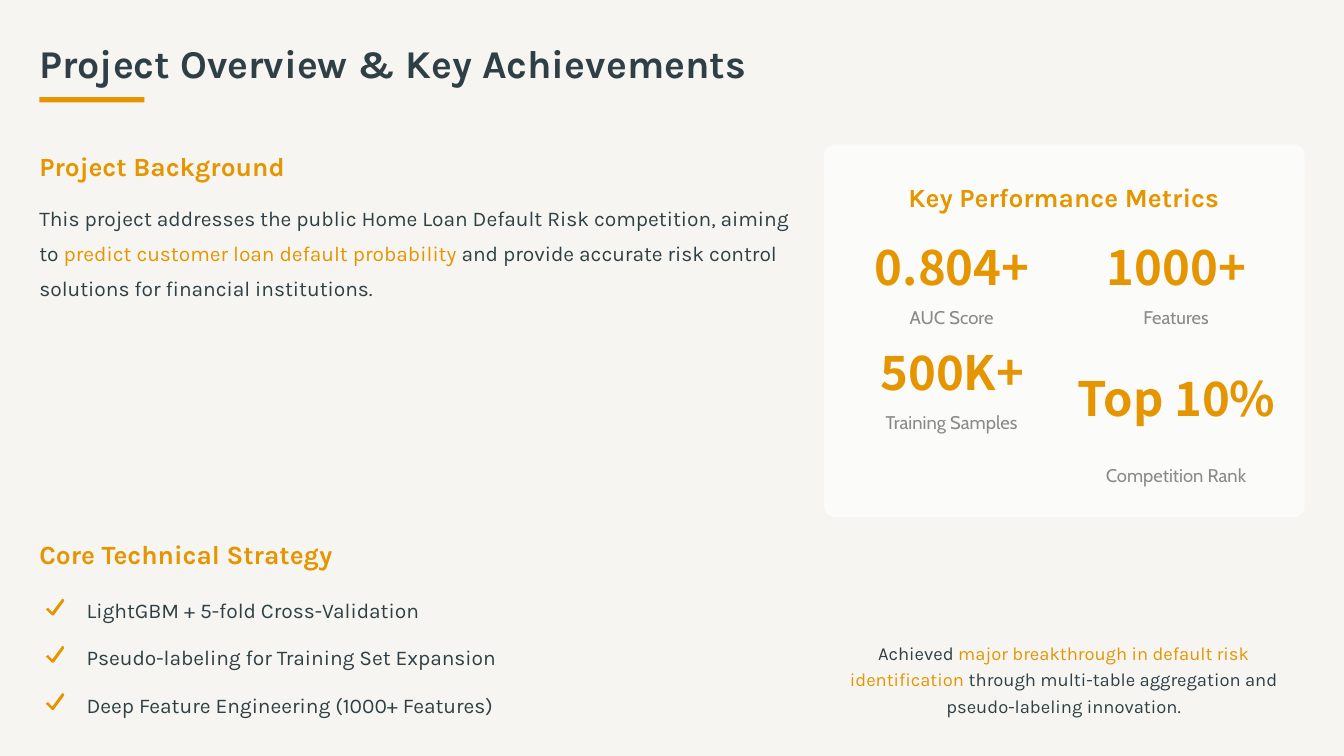
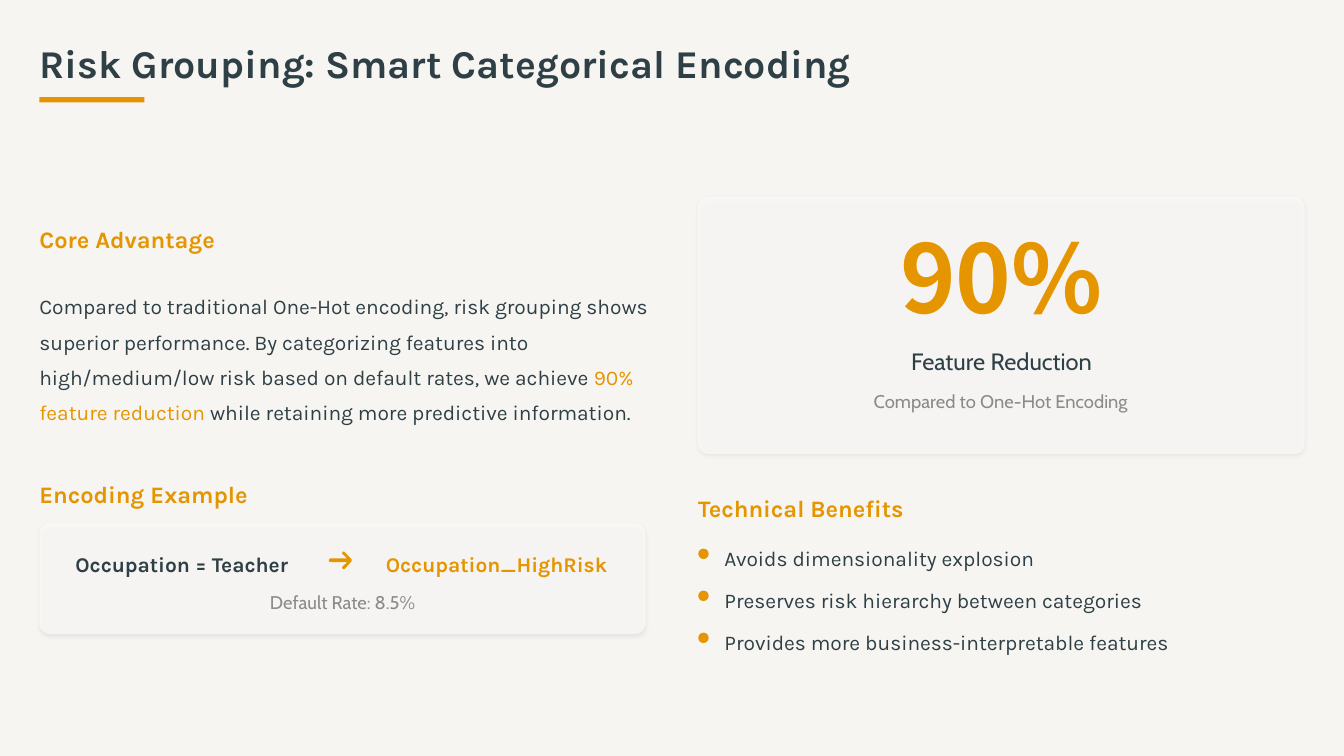
"""Build two slides on a credit default risk project."""
from lxml import etree
from pptx import Presentation
from pptx import util as u
from pptx.dml.color import RGBColor
from pptx.enum import shapes, text
from pptx.oxml.ns import qn

COLORS = {"paper": "F7F5F2", "ink": "2E4045", "accent": "E59500",
          "muted": "8A8A8A", "card": "FFFFFF", "shadow": "000000"}

STYLES = {
    "title": ("accent", 1.0, {"name": "Karla", "size": u.Pt(30), "bold": True}),
    "section": ("accent", 1.2, {"name": "Karla", "size": u.Pt(20), "bold": True}),
    "heading": ("accent", 1.3, {"name": "Karla", "size": u.Pt(18), "bold": True}),
    "body": ("ink", 1.4, {"name": "Karla", "size": u.Pt(16)}),
    "item": ("ink", 1.3, {"name": "Karla", "size": u.Pt(16)}),
    "code": ("ink", 1.3, {"name": "Karla", "size": u.Pt(16), "bold": True}),
    "summary": ("ink", 1.2, {"name": "Karla", "size": u.Pt(14)}),
    "metric": ("accent", 0.9, {"name": "Noto Sans CJK SC", "size": u.Pt(36), "bold": True}),
    "hero": ("accent", 0.8, {"name": "Noto Sans CJK SC", "size": u.Pt(72), "bold": True}),
    "caption": ("ink", 1.3, {"name": "Cabin", "size": u.Pt(18)}),
    "label": ("muted", 1.2, {"name": "Cabin", "size": u.Pt(14)}),
}

FRAME = {"word_wrap": True, "vertical_anchor": text.MSO_ANCHOR.MIDDLE,
         "margin_left": 0, "margin_top": 0, "margin_right": 0, "margin_bottom": 0}

CHECK = [(13.3, 0.3), (14, 1.8), (6, 12.8), (4.6, 12.8),
         (0, 8.2), (1.6, 7), (4.8, 10.4), (12.4, 0.2)]
ARROW = [(17.4, 7.6), (17.4, 6.2), (12, 0.4), (10.6, 0.3), (10.2, 1.8), (14, 5.5), (0.8, 5.5),
         (0, 7), (0.8, 8.4), (14, 8.4), (10.2, 12), (10.6, 13.5), (12, 13.6)]


def rgb(name):
    """Return the named colour."""
    return RGBColor.from_string(COLORS[name])


def set_all(obj, values):
    """Set each attribute of obj from a dict."""
    for key, value in values.items():
        setattr(obj, key, value)


def add_text(s, x, y, w, h, words, style, color=None, center=False):
    """Add a text box; words between asterisks take the accent colour."""
    base, spacing, font = STYLES[style]
    tf = s.shapes.add_textbox(u.Pt(x), u.Pt(y), u.Pt(w), u.Pt(h)).text_frame
    set_all(tf, FRAME)
    p = tf.paragraphs[0]
    p.line_spacing = spacing
    p.alignment = text.PP_ALIGN.CENTER if center else text.PP_ALIGN.LEFT
    for i, part in enumerate(words.split("*")):
        r = p.add_run()
        r.text = part
        set_all(r.font, font)
        r.font.color.rgb = rgb("accent" if i % 2 else color or base)


def paint(sp, color):
    """Give a shape a flat fill without line or shadow."""
    sp.shadow.inherit = False
    sp.fill.solid()
    sp.fill.fore_color.rgb = rgb(color)
    sp.line.fill.background()
    return sp


def add_preset(s, kind, x, y, w, h, color="accent"):
    """Add a flat preset shape."""
    return paint(s.shapes.add_shape(kind, u.Pt(x), u.Pt(y), u.Pt(w), u.Pt(h)), color)


def add_icon(s, x, y, points):
    """Add a filled outline with its corner at x, y."""
    pts = [(u.Pt(x + dx), u.Pt(y + dy)) for dx, dy in points]
    fb = s.shapes.build_freeform(*pts[0])
    fb.add_line_segments(pts[1:], close=True)
    paint(fb.convert_to_shape(), "accent")


def add_alpha(clr, percent):
    """Set the opacity of a colour element."""
    etree.SubElement(clr, qn("a:alpha"), val=str(percent * 1000))


def add_card(s, x, y, w, h, shadow=False):
    """Add a translucent rounded card."""
    sp = add_preset(s, shapes.MSO_SHAPE.ROUNDED_RECTANGLE, x, y, w, h, "card")
    sp.adjustments[0] = 8 / min(w, h)
    props = sp._element.spPr
    add_alpha(props.find(qn("a:solidFill")).find(qn("a:srgbClr")), 60)
    if shadow:
        outer = etree.SubElement(props.find(qn("a:effectLst")), qn("a:outerShdw"),
                                 blurRad=str(u.Pt(3)), dist=str(u.Pt(1)), dir="5400000",
                                 algn="ctr", rotWithShape="0")
        add_alpha(etree.SubElement(outer, qn("a:srgbClr"), val=COLORS["shadow"]), 10)


def add_slide(prs, title):
    """Add a blank slide with background, title and underline."""
    s = prs.slides.add_slide(prs.slide_layouts[6])
    s.background.fill.solid()
    s.background.fill.fore_color.rgb = rgb("paper")
    add_text(s, 30, 30, 979, 36, title, "title", "ink")
    add_preset(s, shapes.MSO_SHAPE.RECTANGLE, 30, 74, 80, 4)
    return s


def add_metric(s, col, row, value, name, h=40):
    """Add a figure and its label in the metrics grid."""
    x, y = 643 + 171 * col, 186 + 80 * row
    add_text(s, x, y, 165, h, value, "metric", center=True)
    add_text(s, x + 5, y + h + 4, 154, 20, name, "label", center=True)


def build_overview(prs):
    """Build the project overview slide."""
    s = add_slide(prs, "Project Overview & Key Achievements")
    add_text(s, 30, 110, 576, 28, "Project Background", "section")
    add_text(s, 30, 150, 574, 78,
             "This project addresses the public Home Loan Default Risk competition, aiming to "
             "*predict customer loan default probability *and provide accurate risk control "
             "solutions for financial institutions.", "body")
    add_text(s, 30, 406, 576, 28, "Core Technical Strategy", "section")
    strategy = [("LightGBM + 5-fold Cross-Validation", 266),
                ("Pseudo-labeling for Training Set Expansion", 329),
                ("Deep Feature Engineering (1000+ Features)", 328)]
    for i, (words, w) in enumerate(strategy):
        y = 450 + 36 * i
        add_icon(s, 35, y + 6, CHECK)
        add_text(s, 66, y, w, 24, words, "item")

    add_card(s, 628, 110, 366, 284)
    add_text(s, 646.5, 134, 328, 28, "Key Performance Metrics", "section", center=True)
    add_metric(s, 0, 0, "0.804+", "AUC Score")
    add_metric(s, 1, 0, "1000+", "Features")
    add_metric(s, 0, 1, "500K+", "Training Samples")
    add_metric(s, 1, 1, "Top 10%", "Competition Rank", 80)
    add_text(s, 624, 486, 373, 60,
             "Achieved *major breakthrough in default risk identification *through multi-table "
             "aggregation and pseudo-labeling innovation.", "summary", center=True)


def build_grouping(prs):
    """Build the risk grouping slide."""
    s = add_slide(prs, "Risk Grouping: Smart Categorical Encoding")
    add_text(s, 30, 165, 471, 28, "Core Advantage", "heading")
    add_text(s, 30, 205, 470, 130,
             "Compared to traditional One-Hot encoding, risk grouping shows superior performance. "
             "By categorizing features into high/medium/low risk based on default rates, we "
             "achieve *90% feature reduction *while retaining more predictive information.", "body")
    add_text(s, 30, 359, 471, 28, "Encoding Example", "heading")
    add_card(s, 30, 399, 462, 84, shadow=True)
    add_text(s, 57.5, 415, 175, 24, "Occupation = Teacher", "code")
    add_icon(s, 250.5, 420, ARROW)
    add_text(s, 294, 415, 178, 24, "Occupation_HighRisk", "code", "accent")
    add_text(s, 42.5, 447, 437, 20, "Default Rate: 8.5%", "label", center=True)

    add_card(s, 532, 150, 462, 196, shadow=True)
    add_text(s, 546, 182, 434, 72, "90%", "hero", center=True)
    add_text(s, 559.5, 258, 407, 28, "Feature Reduction", "caption", center=True)
    add_text(s, 560, 294, 405, 20, "Compared to One-Hot Encoding", "label", center=True)
    add_text(s, 532, 370, 471, 28, "Technical Benefits", "heading")
    benefits = [("Avoids dimensionality explosion", 249),
                ("Preserves risk hierarchy between categories", 335),
                ("Provides more business-interpretable features", 354)]
    for i, (words, w) in enumerate(benefits):
        y = 410 + 32 * i
        add_preset(s, shapes.MSO_SHAPE.OVAL, 532, y + 8, 8, 8)
        add_text(s, 552, y, w, 24, words, "item")


def main():
    """Build and save the presentation."""
    prs = Presentation()
    set_all(prs, {"slide_width": u.Pt(1024), "slide_height": u.Pt(576)})
    build_overview(prs)
    build_grouping(prs)
    prs.save("out.pptx")


if __name__ == "__main__":
    main()
